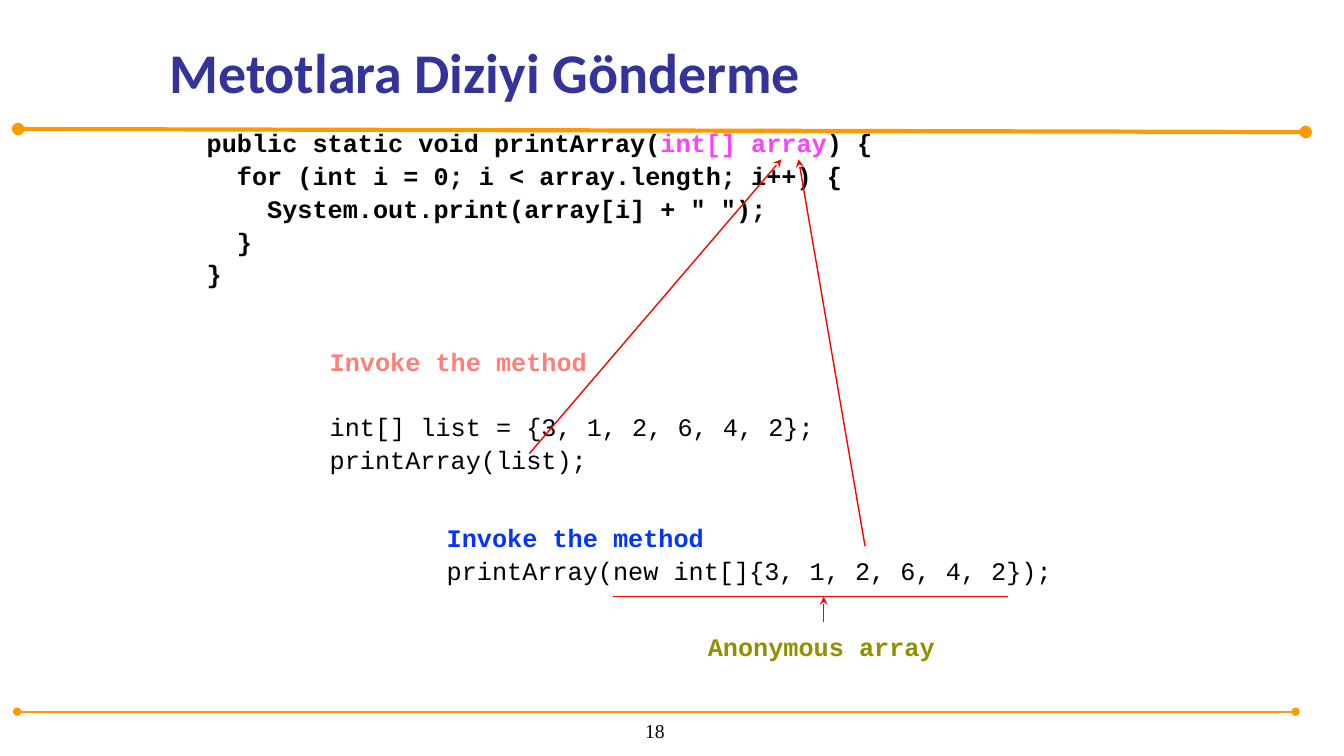
from dataclasses import dataclass

from lxml.etree import SubElement
from pptx import Presentation
from pptx.dml.color import RGBColor
from pptx.enum.shapes import MSO_CONNECTOR
from pptx.enum.text import MSO_ANCHOR, PP_ALIGN
from pptx.oxml.ns import qn
from pptx.util import Inches, Pt


@dataclass(frozen=True)
class Theme:
    heading: str = "333399"
    rule: str = "FF9900"
    arrow: str = "FF0000"
    ink: str = "000000"
    parameter: str = "FF40FF"
    first_call: str = "FF7E79"
    second_call: str = "0433FF"
    anonymous: str = "929000"
    heading_size: int = 40
    code_size: int = 18
    number_size: int = 14
    heading_font: str = "Calibri"
    code_font: str = "Courier New"
    number_font: str = "Times New Roman"


theme = Theme()
INDENT_STEP = 0.3


def fill_text(shape, place, paragraphs, font, size, anchor=MSO_ANCHOR.TOP):
    shape.left, shape.top, shape.width, shape.height = map(Inches, place)
    frame = shape.text_frame
    frame.word_wrap = True
    frame.vertical_anchor = anchor
    frame.margin_left = frame.margin_right = Inches(0.05)
    frame.margin_top = frame.margin_bottom = Inches(0.05)
    for index, runs in enumerate(paragraphs):
        paragraph = frame.paragraphs[0] if index == 0 else frame.add_paragraph()
        paragraph.alignment = PP_ALIGN.LEFT
        for words, color, bold in runs:
            run = paragraph.add_run()
            run.text = words
            run.font.name = font
            run.font.size = Pt(size)
            run.font.bold = bold
            run.font.color.rgb = RGBColor.from_string(color)
    return frame


def draw_line(start, end, color, width, head=None, tail=None):
    line = slide.shapes.add_connector(
        MSO_CONNECTOR.STRAIGHT, *map(Inches, start + end))
    line.line.color.rgb = RGBColor.from_string(color)
    line.line.width = Pt(width)
    outline = line.line._get_or_add_ln()
    for tag, kind in (("a:headEnd", head), ("a:tailEnd", tail)):
        if kind:
            SubElement(outline, qn(tag), type=kind)
    SubElement(line._element.spPr, qn("a:effectLst"))


presentation = Presentation()
presentation.slide_width = Inches(13.33)
presentation.slide_height = Inches(7.5)
slide = presentation.slides.add_slide(presentation.slide_layouts[5])

for start, end, width in (
    ((0.18, 1.28), (12.95, 1.31), 3),
    ((0.17, 7.06), (12.85, 7.06), 1.5),
):
    draw_line(start, end, theme.rule, width, head="oval", tail="oval")

fill_text(slide.shapes.title, (1.63, 0.17, 8.5, 0.92),
          [[("Metotlara Diziyi Gönderme", theme.heading, True)]],
          theme.heading_font, theme.heading_size, MSO_ANCHOR.BOTTOM)

page_number = fill_text(
    slide.shapes.add_textbox(0, 0, 0, 0), (6.34, 7.1, 0.31, 0.31),
    [[("18", theme.ink, False)]],
    theme.number_font, theme.number_size, MSO_ANCHOR.BOTTOM)
page_number.word_wrap = False
page_number.paragraphs[0].alignment = PP_ALIGN.CENTER

method_definition = [
    [("public static void printArray(", theme.ink, True),
     ("int[] array", theme.parameter, True),
     (") {", theme.ink, True)],
    [("for (int i = 0; i < array.length; i++) {", theme.ink, True)],
    [('System.out.print(array[i] + " ");', theme.ink, True)],
    [("}", theme.ink, True)],
    [("}", theme.ink, True)],
]
named_array_call = [
    [("Invoke the method", theme.first_call, True)],
    [("int[] list = {3, 1, 2, 6, 4, 2};", theme.ink, False)],
    [("printArray(list);", theme.ink, False)],
]
anonymous_array_call = [
    [("Invoke the method", theme.second_call, True)],
    [("printArray(new int[]{3, 1, 2, 6, 4, 2});", theme.ink, False)],
]
anonymous_label = [[("Anonymous array", theme.anonymous, True)]]

for place, code, levels, gaps in (
    ((2, 1.25, 7, 1.83), method_definition, (0, 1, 2, 1, 0), (4, 4, 4, 4, 4)),
    ((3.22, 3.42, 7.48, 1.31), named_array_call, (0, 0, 0), (4, 27, 4)),
    ((4.38, 5.17, 7.48, 0.69), anonymous_array_call, (0, 0), (4, 4)),
    ((6.97, 6.25, 2.48, 0.38), anonymous_label, (0,), (4,)),
):
    listing = fill_text(slide.shapes.add_textbox(0, 0, 0, 0), place, code,
                        theme.code_font, theme.code_size)
    for paragraph, level, gap in zip(listing.paragraphs, levels, gaps):
        paragraph.line_spacing = 0.9
        paragraph.space_before = Pt(gap)
        properties = paragraph._p.get_or_add_pPr()
        properties.set("marL", str(Inches(level * INDENT_STEP)))
        properties.set("indent", "0")

for start, end, tail in (
    ((5.25, 4.5), (7.75, 1.58), "stealth"),
    ((8.58, 5.42), (7.92, 1.58), "stealth"),
    ((8.17, 6.17), (8.17, 5.92), "stealth"),
    ((6.08, 5.92), (10, 5.92), None),
):
    draw_line(start, end, theme.arrow, 1, tail=tail)

presentation.save("out.pptx")
